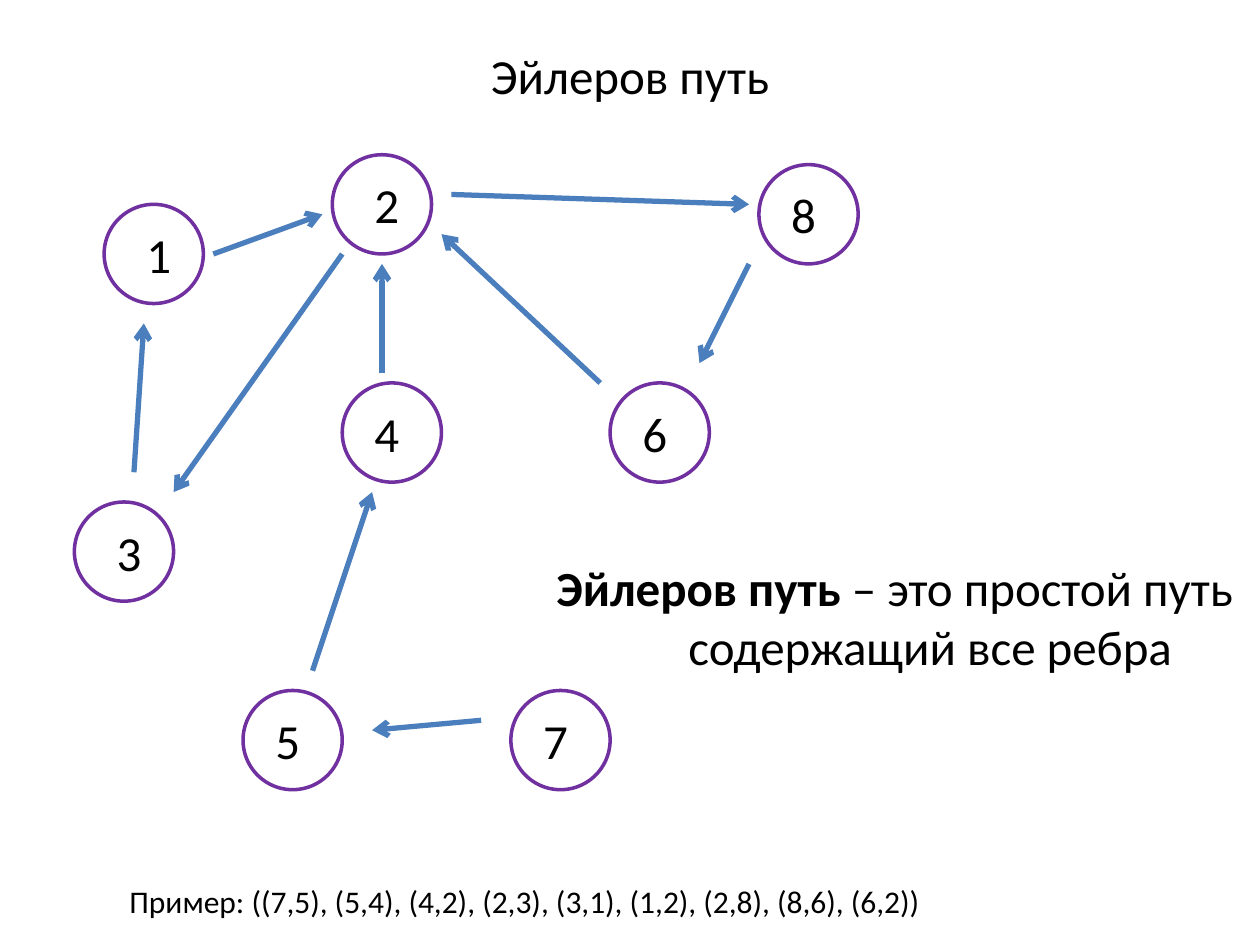
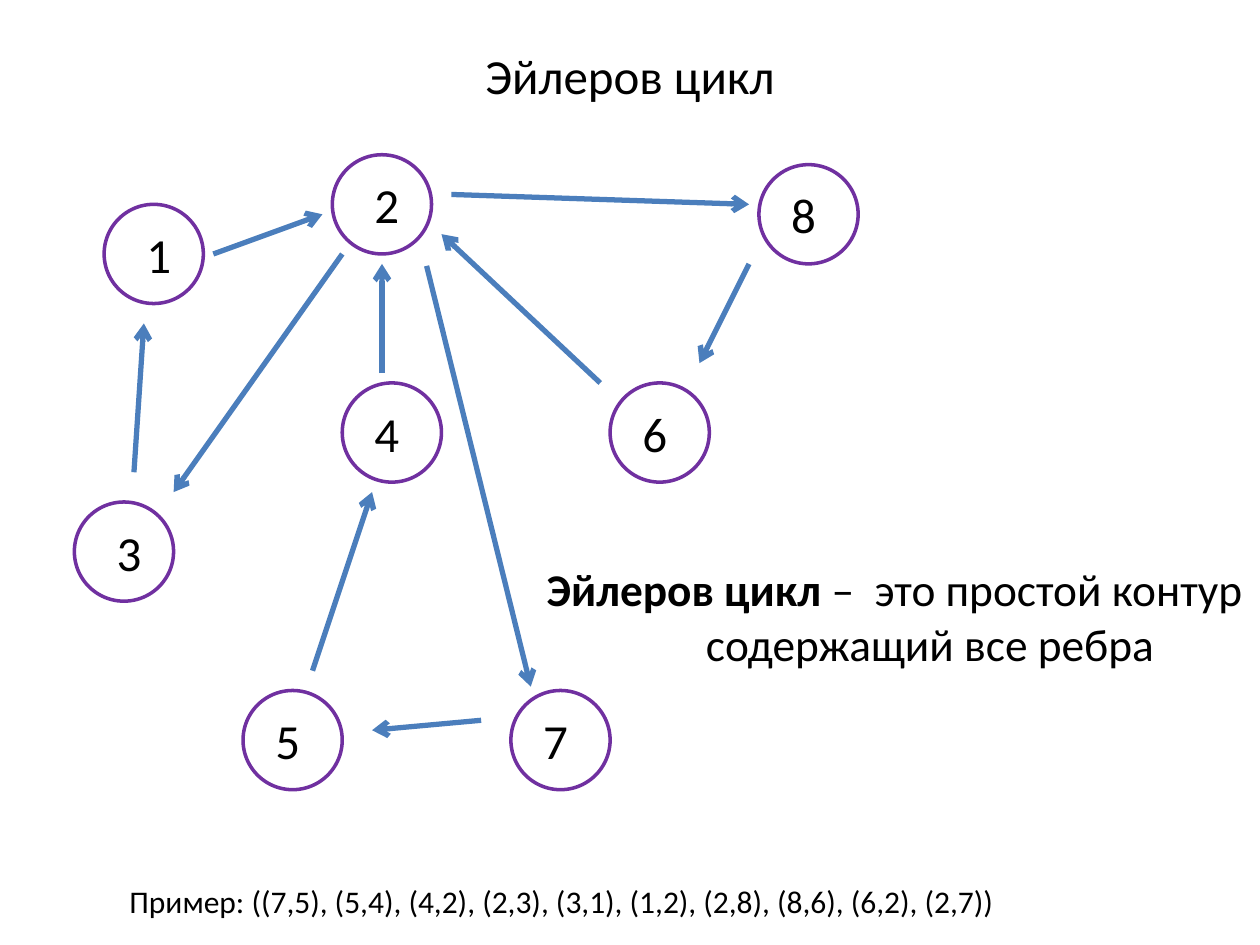
import pptx
import pptx.util
import pptx.dml.color
import pptx.enum.shapes
import pptx.enum.text
import pptx.oxml.ns
from lxml import etree

Cm = pptx.util.Cm
Pt = pptx.util.Pt
ALIGN = pptx.enum.text.PP_ALIGN
ANCHOR = pptx.enum.text.MSO_ANCHOR
AUTO_SIZE = pptx.enum.text.MSO_AUTO_SIZE

FONT = "Calibri"
BLACK, WHITE, PURPLE, BLUE = "000000", "FFFFFF", "7030A0", "4B7EBC"
HANGING = 1.43
NODE_SIZE = 2

TITLE_BOX = (0, 0, 25.4, 3)
GRAPH_ORIGIN = (1.5, 3.12)
DEFINITION_BOX = (10.67, 10.92, 14.73, 3)
EXAMPLE_BOX = (2.36, 17.65, 23.04, 1.02)

NODES = {
    "1": (0.6, 1, 0.6),
    "2": (5.2, 0, 0.6),
    "3": (0, 7, 0.6),
    "4": (5.4, 4.6, 0.4),
    "5": (3.4, 10.8, 0.4),
    "6": (10.8, 4.6, 0.4),
    "7": (8.8, 10.8, 0.4),
    "8": (13.8, 0.2, 0.4),
}
PATH_EDGES = {
    (7, 5): (8.2, 11.4, 6, 11.6),
    (5, 4): (4.8, 10.4, 6, 6.8),
    (4, 2): (6.2, 4.4, 6.2, 2.2),
    (2, 3): (5.4, 2, 2, 6.8),
    (3, 1): (1.2, 6.4, 1.4, 3.4),
    (1, 2): (2.8, 2, 5, 1.2),
    (2, 8): (7.6, 0.8, 13.6, 1),
    (8, 6): (13.6, 2.2, 12.6, 4.2),
    (6, 2): (10.6, 4.6, 7.4, 1.6),
}
CYCLE_EDGES = PATH_EDGES | {(2, 7): (7.1, 2.24, 9.2, 10.72)}


def colour(hex_text):
    return pptx.dml.color.RGBColor.from_string(hex_text)


def write(shape, spans, size=28, align=ALIGN.CENTER, anchor=ANCHOR.MIDDLE):
    frame = shape.text_frame
    frame.word_wrap = True
    frame.auto_size = AUTO_SIZE.NONE
    frame.vertical_anchor = anchor
    para = frame.paragraphs[0]
    para.alignment = align
    para.space_before = Pt(0)
    properties = para._p.get_or_add_pPr()
    properties.set("marL", str(Cm(HANGING)))
    properties.set("indent", str(-Cm(HANGING)))
    for text, bold in spans:
        span = para.add_run()
        span.text = text
        span.font.name = FONT
        span.font.size = Pt(size)
        span.font.bold = bold
        span.font.color.rgb = colour(BLACK)


def add_text(page, box, spans, **style):
    shape = page.shapes.add_textbox(*map(Cm, box))
    write(shape, spans, **style)


def add_title(page, box, text):
    title = page.shapes.title
    title.left, title.top, title.width, title.height = map(Cm, box)
    write(title, [(text, False)])


def add_node(page, left, top, number, label_shift):
    circle = page.shapes.add_shape(
        pptx.enum.shapes.MSO_SHAPE.OVAL,
        Cm(left), Cm(top), Cm(NODE_SIZE), Cm(NODE_SIZE))
    circle.shadow.inherit = False
    circle.fill.solid()
    circle.fill.fore_color.rgb = colour(WHITE)
    circle.line.color.rgb = colour(PURPLE)
    circle.line.width = Pt(2)
    add_text(page, (left + label_shift, top + 0.2, 1, 1.6), [(number, False)])


def add_arrow(page, start_x, start_y, end_x, end_y):
    arrow = page.shapes.add_connector(
        pptx.enum.shapes.MSO_CONNECTOR.STRAIGHT,
        Cm(start_x), Cm(start_y), Cm(end_x), Cm(end_y))
    arrow.line.color.rgb = colour(BLUE)
    arrow.line.width = Pt(3)
    tip = etree.SubElement(arrow.line._get_or_add_ln(), pptx.oxml.ns.qn("a:tailEnd"))
    tip.set("type", "arrow")
    etree.SubElement(arrow._element.spPr, pptx.oxml.ns.qn("a:effectLst"))


def add_graph(page, origin, edges):
    left, top = origin
    for number, (x, y, label_shift) in NODES.items():
        add_node(page, left + x, top + y, number, label_shift)
    for start_x, start_y, end_x, end_y in edges.values():
        add_arrow(page, left + start_x, top + start_y, left + end_x, top + end_y)


def add_example(page, box, edges):
    pairs = ", ".join(f"({start},{end})" for start, end in edges)
    add_text(page, box, [(f"Пример: ({pairs})", False)],
             size=18, align=ALIGN.LEFT, anchor=ANCHOR.TOP)


def add_graph_page(deck, term, meaning, meaning_size, edges):
    page = deck.slides.add_slide(deck.slide_layouts[5])
    add_title(page, TITLE_BOX, term)
    add_text(page, DEFINITION_BOX, [(term, True), (meaning, False)], size=meaning_size)
    add_graph(page, GRAPH_ORIGIN, edges)
    add_example(page, EXAMPLE_BOX, edges)


def main():
    deck = pptx.Presentation()
    deck.slide_width, deck.slide_height = Cm(25.4), Cm(19.05)
    add_graph_page(deck, "Эйлеров путь",
                   " – это простой путь содержащий все ребра", 28, PATH_EDGES)
    add_graph_page(deck, "Эйлеров цикл",
                   " –  это простой контур содержащий все ребра", 25.9, CYCLE_EDGES)
    deck.save("out.pptx")


if __name__ == "__main__":
    main()
